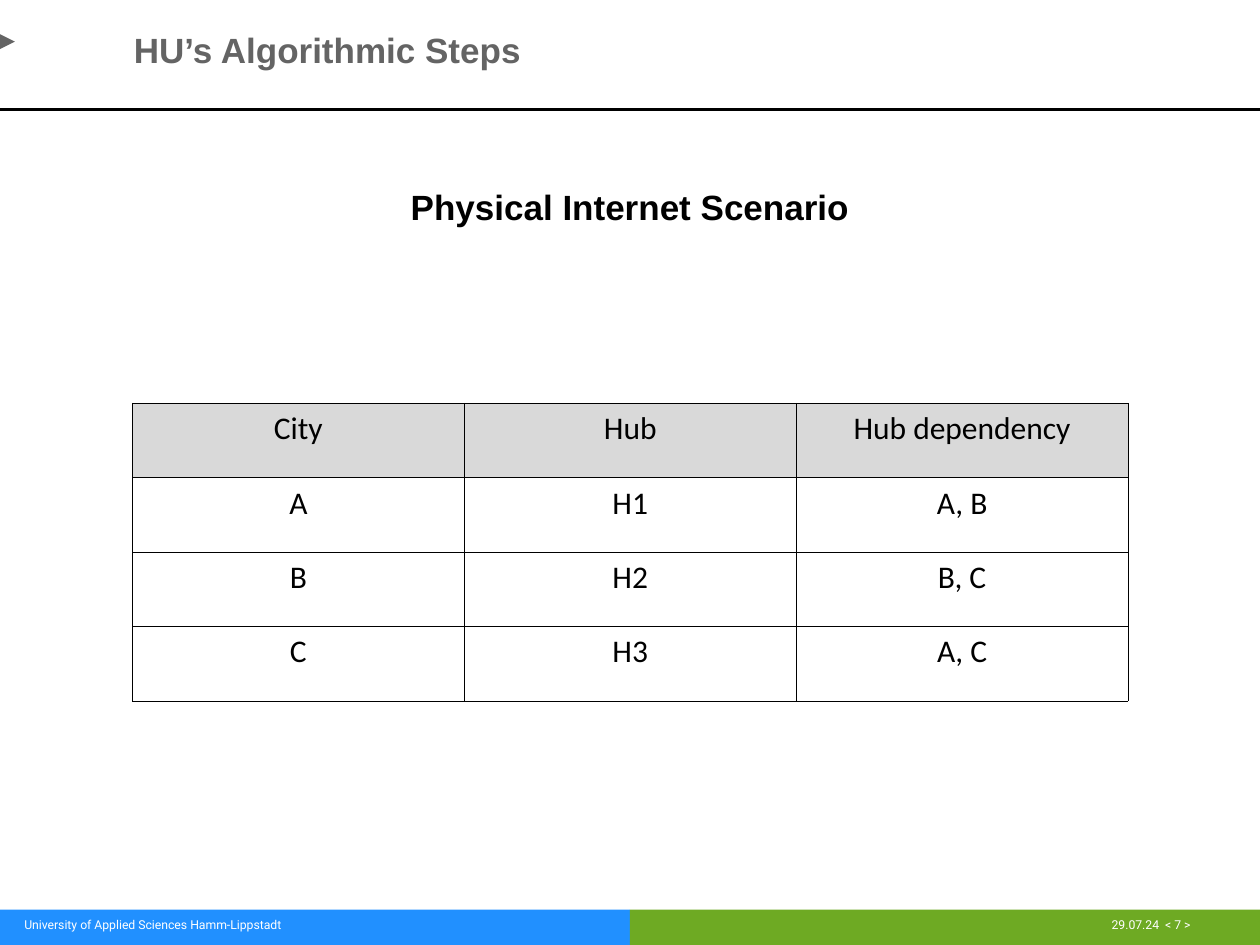
from dataclasses import dataclass

from lxml.etree import SubElement
from pptx import Presentation
from pptx.dml.color import RGBColor
from pptx.enum.shapes import MSO_CONNECTOR, MSO_SHAPE
from pptx.enum.text import PP_ALIGN
from pptx.oxml.ns import qn
from pptx.util import Cm, Pt


@dataclass(frozen=True)
class Theme:
    """Colours, fonts and type sizes of the slide."""
    blue: str = "2190FF"
    green: str = "6EAA23"
    grey: str = "646464"
    header: str = "D9D9D9"
    black: str = "000000"
    white: str = "FFFFFF"
    heading_font: str = "Arial"
    table_font: str = "Calibri"
    footer_font: str = "Roboto"
    heading: float = 20
    body: float = 18
    footer: float = 7
    rule: float = 1.5
    border: float = 0.45


@dataclass(frozen=True)
class Bar:
    """A coloured half of the footer."""
    left: float
    color: str


@dataclass(frozen=True)
class Label:
    """A text box; lengths in centimetres, margins as left, top, right, bottom."""
    text: str
    box: tuple[float, float, float, float]
    font: str
    size: float
    color: str
    bold: bool = False
    align: PP_ALIGN = PP_ALIGN.LEFT
    margins: tuple[float, float, float, float] = (0, 0, 0, 0)
    space_before: float = 0


T = Theme()
WIDTH, HEIGHT = 25.4, 19.05
BAR_TOP = 18.34
RULE_Y = 2.21
TABLE_LEFT, TABLE_TOP = 2.67, 8.13
COL_WIDTH, ROW_HEIGHT = 6.69, 1.5

BARS = [Bar(0, T.blue), Bar(WIDTH / 2, T.green)]
LABELS = [
    Label("University of Applied Sciences Hamm-Lippstadt",
          (0.49, 18.49, 11.68, 0.3), T.footer_font, T.footer, T.white),
    Label("29.07.24  < 7 >", (22.41, 18.49, 2.54, 0.64),
          T.footer_font, T.footer, T.white, space_before=0.3),
    Label("HU’s Algorithmic Steps", (2.7, 0.54, 10.41, 0.89),
          T.heading_font, T.heading, T.grey, bold=True,
          margins=(0, 0.03, 0, 0), space_before=1),
    Label("Physical Internet Scenario", (5.05, 3.6, 15.3, 1.12),
          T.heading_font, T.heading, T.black, bold=True,
          align=PP_ALIGN.CENTER, margins=(0.25, 0.13, 0.25, 0.13)),
]
HUBS = [
    ("City", "Hub", "Hub dependency"),
    ("A", "H1", "A, B"),
    ("B", "H2", "B, C"),
    ("C", "H3", "A, C"),
]


def set_all(target, values: dict) -> None:
    """Set every attribute in values on target."""
    for name, value in values.items():
        setattr(target, name, value)


def paint(sp, color: str) -> None:
    """Give a shape a plain fill with no line or shadow."""
    sp.shadow.inherit = False
    sp.fill.solid()
    sp.fill.fore_color.rgb = RGBColor.from_string(color)
    sp.line.fill.background()


def write(p, text: str, font: str, size: float, color: str, bold: bool = False) -> None:
    """Add one formatted run to a paragraph."""
    r = p.add_run()
    r.text = text
    set_all(r.font, {"name": font, "size": Pt(size), "bold": bold})
    r.font.color.rgb = RGBColor.from_string(color)


def add_bar(s, bar: Bar) -> None:
    """Draw one footer half."""
    sp = s.shapes.add_shape(MSO_SHAPE.RECTANGLE, Cm(bar.left), Cm(BAR_TOP),
                            Cm(WIDTH / 2), Cm(HEIGHT - BAR_TOP))
    paint(sp, bar.color)


def add_rule(s) -> None:
    """Draw the line under the title."""
    line = s.shapes.add_connector(MSO_CONNECTOR.STRAIGHT, 0, Cm(RULE_Y),
                                  Cm(WIDTH), Cm(RULE_Y))
    line.line.color.rgb = RGBColor.from_string(T.black)
    line.line.width = Pt(T.rule)
    SubElement(line._element.spPr, qn("a:effectLst"))


def add_marker(s, top: float, size: float) -> None:
    """Draw the triangle at the left edge, pointing right."""
    fb = s.shapes.build_freeform(0, Cm(top))
    fb.add_line_segments([(0, Cm(top + size)), (Cm(size), Cm(top + size / 2))])
    paint(fb.convert_to_shape(), T.grey)


def add_label(s, label: Label) -> None:
    """Draw one text box."""
    tf = s.shapes.add_textbox(*map(Cm, label.box)).text_frame
    sides = ("margin_left", "margin_top", "margin_right", "margin_bottom")
    set_all(tf, {"word_wrap": True, **dict(zip(sides, map(Cm, label.margins)))})
    p = tf.paragraphs[0]
    set_all(p, {"alignment": label.align, "space_before": Pt(label.space_before)})
    write(p, label.text, label.font, label.size, label.color, label.bold)


def add_borders(cell) -> None:
    """Outline a cell; the borders go before its fill."""
    pr = cell._tc.get_or_add_tcPr()
    for i, side in enumerate(("lnL", "lnR", "lnT", "lnB")):
        ln = SubElement(pr, qn(f"a:{side}"), w=str(int(Pt(T.border))))
        fill = SubElement(ln, qn("a:solidFill"))
        SubElement(fill, qn("a:srgbClr"), val=T.black)
        pr.insert(i, ln)


def add_hub_table(s) -> None:
    """Draw the table of cities and hubs."""
    rows, cols = len(HUBS), len(HUBS[0])
    table = s.shapes.add_table(rows, cols, Cm(TABLE_LEFT), Cm(TABLE_TOP),
                               Cm(cols * COL_WIDTH), Cm(rows * ROW_HEIGHT)).table
    set_all(table, {"first_row": False, "horz_banding": False})
    for i, values in enumerate(HUBS):
        for j, text in enumerate(values):
            cell = table.cell(i, j)
            if i == 0:
                cell.fill.solid()
                cell.fill.fore_color.rgb = RGBColor.from_string(T.header)
            else:
                cell.fill.background()
            add_borders(cell)
            p = cell.text_frame.paragraphs[0]
            p.alignment = PP_ALIGN.CENTER
            write(p, text, T.table_font, T.body, T.black)


def main() -> None:
    """Build and save the slide."""
    prs = Presentation()
    set_all(prs, {"slide_width": Cm(WIDTH), "slide_height": Cm(HEIGHT)})
    s = prs.slides.add_slide(prs.slide_layouts[6])
    for bar in BARS:
        add_bar(s, bar)
    add_rule(s)
    add_marker(s, top=0.69, size=0.3)
    for label in LABELS:
        add_label(s, label)
    add_hub_table(s)
    prs.save("out.pptx")


main()
